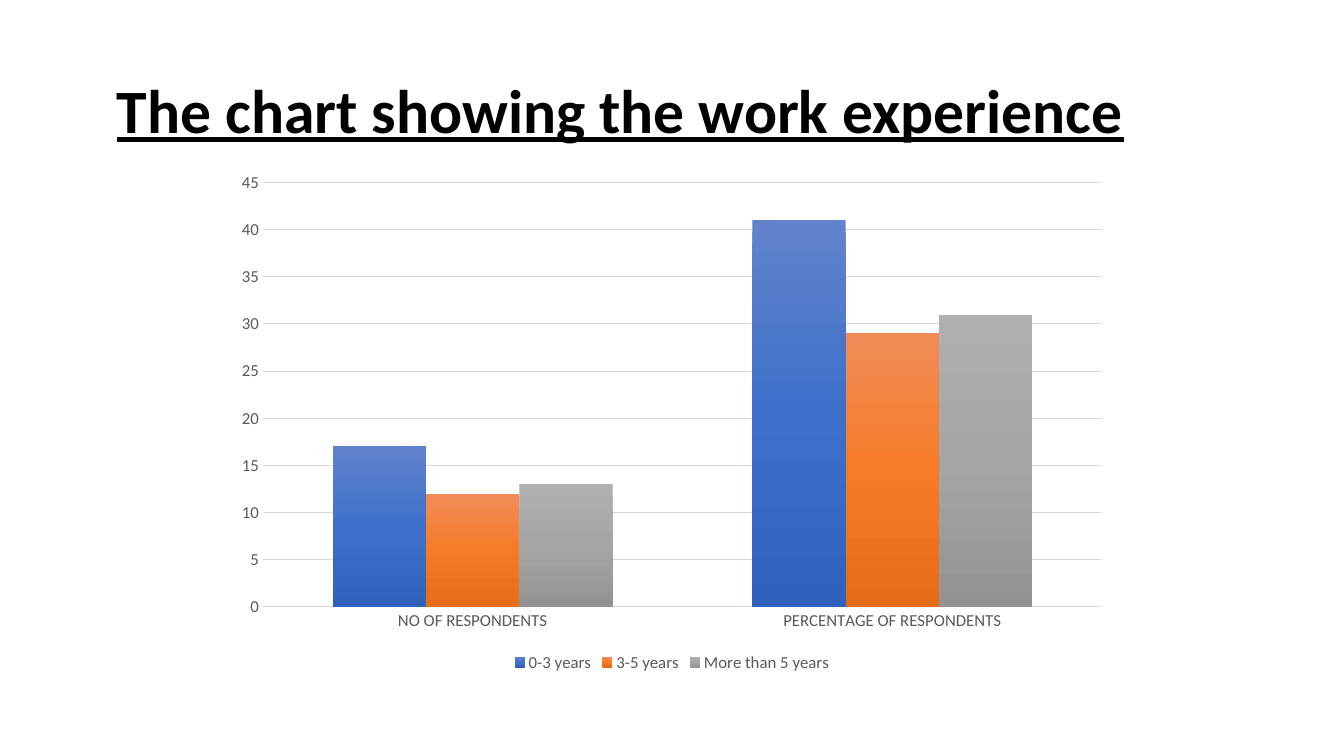
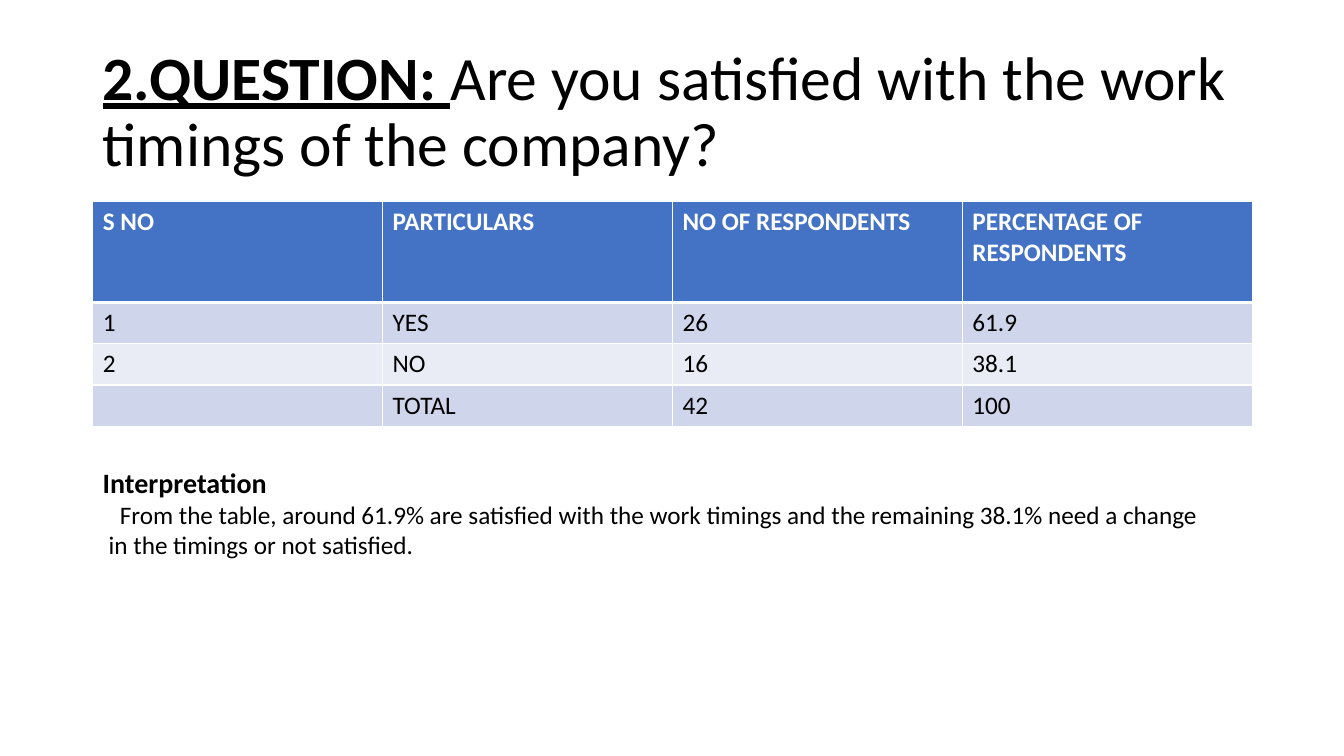
from copy import deepcopy

from pptx import Presentation
from pptx.chart.data import CategoryChartData
from pptx.dml.color import RGBColor
from pptx.enum.chart import XL_CHART_TYPE as ChartType
from pptx.enum.chart import XL_LEGEND_POSITION as LegendPos
from pptx.enum.chart import XL_TICK_MARK as TickMark
from pptx.enum.text import MSO_ANCHOR as Anchor
from pptx.oxml import parse_xml
from pptx.oxml.ns import nsdecls, qn
from pptx.util import Inches, Pt

FONT = "Calibri"
BLACK = RGBColor(0x00, 0x00, 0x00)
WHITE = RGBColor(0xFF, 0xFF, 0xFF)
GREY_TEXT = RGBColor(0x59, 0x59, 0x59)
GREY_LINE = RGBColor(0xD9, 0xD9, 0xD9)
HEADER_BLUE = RGBColor(0x44, 0x72, 0xC4)
BANDS = (RGBColor(0xCF, 0xD5, 0xEA), RGBColor(0xE9, 0xEB, 0xF5))
BLUES = (RGBColor(0x61, 0x83, 0xCB), RGBColor(0x3E, 0x70, 0xCA), RGBColor(0x30, 0x62, 0xBB))
ORANGES = (RGBColor(0xF1, 0x8C, 0x57), RGBColor(0xF6, 0x7B, 0x28), RGBColor(0xE5, 0x6C, 0x19))
GREYS = (RGBColor(0xAF, 0xAF, 0xAF), RGBColor(0xA5, 0xA5, 0xA5), RGBColor(0x93, 0x93, 0x93))

LEFT = Inches(0.92)
WIDTH = Inches(11.5)


def style_font(font, size, color=BLACK, bold=False, underline=False):
    font.name = FONT
    font.size = Pt(size)
    font.color.rgb = color
    font.bold = bold
    font.underline = underline


def add_text_box(slide, top, width, height):
    tf = slide.shapes.add_textbox(LEFT, top, width, height).text_frame
    tf.word_wrap = True
    return tf


def add_title(slide, heading, rest="", inset=0.1):
    """Title with an underlined bold heading and an optional plain rest."""
    tf = add_text_box(slide, Inches(0.4), WIDTH, Inches(1.45))
    tf.vertical_anchor = Anchor.MIDDLE
    tf.margin_left = Inches(inset)
    p = tf.paragraphs[0]
    p.line_spacing = 0.9
    for text, strong in ((heading, True), (rest, False)):
        if text:
            r = p.add_run()
            r.text = text
            style_font(r.font, 44, bold=strong, underline=strong)


def fill_gradient(series, colors):
    """Three-stop gradient running from top to bottom."""
    fill = series.format.fill
    fill.gradient()
    fill.gradient_angle = 270
    stops = series.format.element.find(".//" + qn("a:gsLst"))
    stops.append(deepcopy(stops[0]))
    for stop, position, color in zip(fill.gradient_stops, (0, 0.5, 1), colors):
        stop.position = position
        stop.color.rgb = color


def add_column_chart(slide, categories, series_rows):
    data = CategoryChartData()
    data.categories = categories
    for name, values, _ in series_rows:
        data.add_series(name, values)
    chart = slide.shapes.add_chart(
        ChartType.COLUMN_CLUSTERED, Inches(2.22), Inches(1.61),
        Inches(8.89), Inches(5.1), data).chart
    style_font(chart.font, 10)
    chart.has_title = False

    # Columns
    plot = chart.plots[0]
    plot.gap_width = 150
    plot.overlap = 0
    plot.vary_by_categories = False
    for series, (_, _, colors) in zip(plot.series, series_rows):
        fill_gradient(series, colors)

    # Axes
    for axis in (chart.category_axis, chart.value_axis):
        axis.major_tick_mark = axis.minor_tick_mark = TickMark.NONE
        style_font(axis.tick_labels.font, 12, GREY_TEXT)
    line = chart.category_axis.format.line
    line.color.rgb = GREY_LINE
    line.width = Pt(1)
    value_axis = chart.value_axis
    value_axis.minimum_scale, value_axis.maximum_scale = 0, 45
    value_axis.major_unit = 5
    value_axis.format.line.fill.background()
    grid = value_axis.major_gridlines.format.line
    grid.color.rgb = GREY_LINE
    grid.width = Pt(0.75)

    # Legend
    chart.has_legend = True
    chart.legend.position = LegendPos.BOTTOM
    chart.legend.include_in_layout = False
    style_font(chart.legend.font, 12, GREY_TEXT)


def set_borders(cell, top, bottom):
    """White borders; the left and right ones are 1 pt wide."""
    tc_pr = cell._tc.get_or_add_tcPr()
    sides = (("lnL", 1), ("lnR", 1), ("lnT", top), ("lnB", bottom))
    for i, (tag, width) in enumerate(sides):
        tc_pr.insert(i, parse_xml(
            f'<a:{tag} {nsdecls("a")} w="{Pt(width)}"><a:solidFill>'
            f'<a:srgbClr val="{WHITE}"/></a:solidFill></a:{tag}>'))


def add_banded_table(slide, rows):
    row_height = Inches(0.41)
    header_height = Inches(1)
    height = header_height + row_height * (len(rows) - 1)
    table = slide.shapes.add_table(
        len(rows), len(rows[0]), LEFT, Inches(2), WIDTH, height).table
    for i, row in enumerate(rows):
        is_header = i == 0
        table.rows[i].height = header_height if is_header else row_height
        for j, text in enumerate(row):
            cell = table.cell(i, j)
            cell.fill.solid()
            cell.fill.fore_color.rgb = HEADER_BLUE if is_header else BANDS[(i - 1) % 2]
            set_borders(cell, 3 if i == 1 else 1, 3 if is_header else 1)
            cell.text_frame.text = text
            style_font(cell.text_frame.paragraphs[0].font, 18,
                       WHITE if is_header else BLACK, bold=is_header)


def add_interpretation(slide, lines):
    """Bold heading over lines given as (text, left indent)."""
    tf = add_text_box(slide, Inches(4.57), Inches(11.32), Inches(1.04))
    p = tf.paragraphs[0]
    p.text = "Interpretation"
    style_font(p.runs[0].font, 20, bold=True)
    for text, indent in lines:
        p = tf.add_paragraph()
        p.text = text
        p._p.get_or_add_pPr().set("marL", str(Inches(indent)))
        style_font(p.runs[0].font, 18)


def main():
    prs = Presentation()
    prs.slide_width, prs.slide_height = Inches(13.33), Inches(7.5)
    blank = prs.slide_layouts[6]

    # Work experience chart
    s = prs.slides.add_slide(blank)
    add_title(s, "The chart showing the work experience", inset=0.24)
    add_column_chart(s, ("NO OF RESPONDENTS", "PERCENTAGE OF RESPONDENTS"), (
        ("0-3 years", (17, 41), BLUES),
        ("3-5 years", (12, 29), ORANGES),
        ("More than 5 years", (13, 31), GREYS),
    ))

    # Work timings question
    s = prs.slides.add_slide(blank)
    add_title(s, "2.QUESTION: ", "Are you satisfied with the work timings of the company?")
    add_banded_table(s, (
        ("S NO", "PARTICULARS", "NO OF RESPONDENTS", "PERCENTAGE OF RESPONDENTS"),
        ("1", "YES", "26", "61.9"),
        ("2", "NO", "16", "38.1"),
        ("", "TOTAL", "42", "100"),
    ))
    add_interpretation(s, (
        ("From the table, around 61.9% are satisfied with the work timings "
         "and the remaining 38.1% need a change", 0.17),
        ("in the timings or not satisfied.", 0.06),
    ))

    prs.save("out.pptx")


main()
